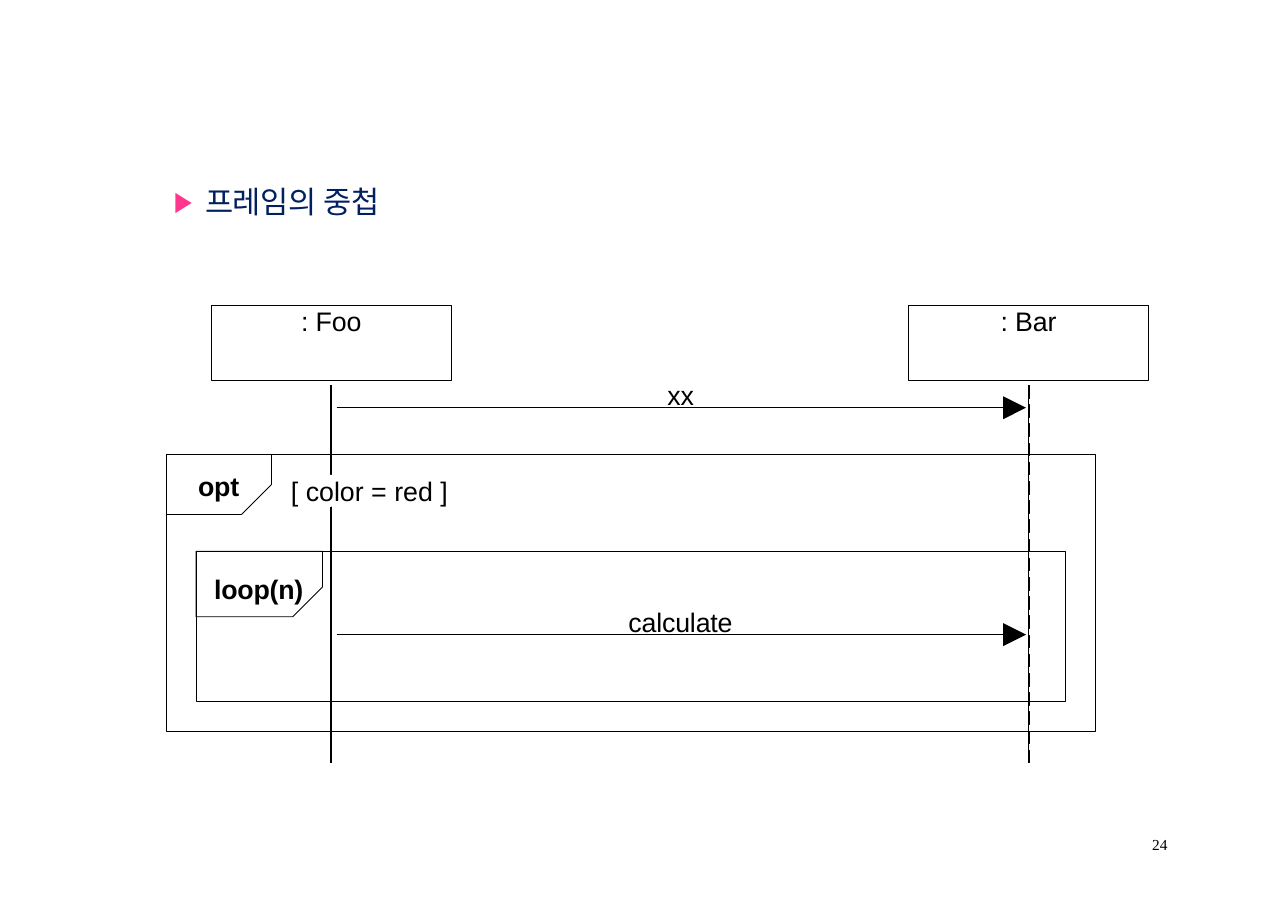
from dataclasses import dataclass

from lxml.etree import SubElement
from pptx import Presentation
from pptx.dml.color import RGBColor as Rgb
from pptx.enum.shapes import MSO_CONNECTOR as Link, MSO_SHAPE as Kind
from pptx.enum.text import MSO_ANCHOR as Anchor, PP_ALIGN as Align
from pptx.oxml.ns import qn
from pptx.util import Cm, Pt


@dataclass(frozen=True)
class Theme:
    """Colours, fonts, type sizes and line widths."""
    ink: str = "000000"
    paper: str = "FFFFFF"
    navy: str = "002060"
    pink: str = "FF388D"
    sans: str = "Arial"
    hangul: str = "Noto Sans CJK KR"
    serif: str = "Times New Roman"
    head: float = 20
    body: float = 17.5
    small: float = 10
    thin: float = 0.5
    hair: float = 0.25


@dataclass(frozen=True)
class Life:
    """A participant: name, centre, line width and spans of its line."""
    name: str
    x: float
    width: float
    spans: list[tuple[float, float]]


@dataclass(frozen=True)
class Call:
    """A message: text, height of its arrow, left edge and width of its text."""
    name: str
    y: float
    left: float
    width: float


@dataclass(frozen=True)
class Frame:
    """A fragment: box, size of its tab, and box of its label."""
    name: str
    box: tuple[float, float, float, float]
    tab: tuple[float, float]
    label: tuple[float, float, float, float]


THEME = Theme()
HEAD_W, HEAD_H, HEAD_TOP = 5.54, 1.74, 7.03
LIFE_TOP, LIFE_END = 8.88, 17.58
GUARD_TOP, GUARD_END = 10.95, 11.68
DASHES, DASH_W, DASH_H = 20, 0.02, 0.29
TIP, GAP, CUT = 0.53, 0.12, 0.69
LIVES = [
    Life(": Foo", 7.64, 1.25, [(LIFE_TOP, GUARD_TOP), (GUARD_END, LIFE_END)]),
    Life(": Bar", 23.72, 1, [(LIFE_TOP, LIFE_END)]),
]
CALLS = [Call("xx", 9.4, 15.39, 0.8), Call("calculate", 14.63, 14.49, 2.6)]
FRAMES = [
    Frame("opt", (3.84, 10.48, 21.42, 6.38), (2.42, 1.38), (4.57, 10.84, 1.2, 0.7)),
    Frame("loop(n)", (4.52, 12.71, 20.06, 3.46), (2.92, 1.51), (4.94, 13.2, 2.3, 0.7)),
]

deck = Presentation()
deck.slide_width, deck.slide_height = Cm(29.7), Cm(21)
slide = deck.slides.add_slide(deck.slide_layouts[6])
shapes = slide.shapes


def paint(shape, fill: str = "", line: str = "", width: float = THEME.thin) -> None:
    """Set fill and outline; an empty colour means none."""
    shape.shadow.inherit = False
    if fill:
        shape.fill.solid()
        shape.fill.fore_color.rgb = Rgb.from_string(fill)
    else:
        shape.fill.background()
    if line:
        shape.line.color.rgb = Rgb.from_string(line)
        shape.line.width = Pt(width)
    else:
        shape.line.fill.background()


def write(shape, text: str, *, size: float = THEME.body, font: str = THEME.sans,
          color: str = THEME.ink, bold: bool = False, align=Align.LEFT,
          track: int = -12):
    """Put one paragraph in a shape and return the paragraph."""
    frame = shape.text_frame
    frame.word_wrap, frame.vertical_anchor = True, Anchor.TOP
    frame.margin_left = frame.margin_top = frame.margin_right = frame.margin_bottom = 0
    para = frame.paragraphs[0]
    para.alignment = align
    run = para.add_run()
    run.text = text
    run.font.size, run.font.name, run.font.bold = Pt(size), font, bold
    run.font.color.rgb = Rgb.from_string(color)
    props = run.font._element
    props.set("spc", str(track))
    SubElement(props, qn("a:ea"), typeface=font)
    return para


def box(x: float, y: float, w: float, h: float):
    """Add a text box."""
    return shapes.add_textbox(Cm(x), Cm(y), Cm(w), Cm(h))


def rect(x: float, y: float, w: float, h: float, width: float = THEME.thin):
    """Add an outlined box without fill."""
    shape = shapes.add_shape(Kind.RECTANGLE, Cm(x), Cm(y), Cm(w), Cm(h))
    paint(shape, line=THEME.ink, width=width)
    return shape


def rule(x: float, y: float, end_x: float, end_y: float, width: float) -> None:
    """Draw a straight line."""
    line = shapes.add_connector(Link.STRAIGHT, Cm(x), Cm(y), Cm(end_x), Cm(end_y))
    line.line.color.rgb = Rgb.from_string(THEME.ink)
    line.line.width = Pt(width)
    SubElement(line._element.spPr, qn("a:effectLst"))


def shape_of(points: list[tuple[float, float]]):
    """Build a closed outline through the points."""
    first, *rest = [(Cm(x), Cm(y)) for x, y in points]
    maker = shapes.build_freeform(*first)
    maker.add_line_segments(rest, close=True)
    return maker.convert_to_shape()


def bullet(para) -> None:
    """Give a paragraph the pink triangle bullet."""
    props = para._p.get_or_add_pPr()
    props.set("marL", str(Cm(0.74)))
    props.set("indent", str(-Cm(0.72)))
    SubElement(SubElement(props, qn("a:buClr")), qn("a:srgbClr"), val=THEME.pink)
    SubElement(props, qn("a:buSzPct"), val="92000")
    SubElement(props, qn("a:buFont"), typeface=THEME.sans)
    SubElement(props, qn("a:buChar"), char="▶")


def draw_life(life: Life) -> None:
    """Draw a participant's head, lifeline and the dashes along it."""
    head = rect(life.x - HEAD_W / 2, HEAD_TOP, HEAD_W, HEAD_H)
    write(head, life.name, align=Align.CENTER)
    for top, end in life.spans:
        rule(life.x, top, life.x, end, life.width)
    step = (LIFE_END - LIFE_TOP - DASH_H) / (DASHES - 1)
    for i in range(DASHES):
        rect(life.x - DASH_W / 2, LIFE_TOP + i * step, DASH_W, DASH_H, THEME.hair)


def draw_call(call: Call) -> None:
    """Draw an arrow between the lifelines and its text."""
    start, end = LIVES[0].x + GAP, LIVES[1].x - 0.06
    rule(start, call.y, end - TIP, call.y, THEME.thin)
    tip = shape_of([(end, call.y), (end - TIP, call.y - TIP / 2),
                    (end - TIP, call.y + TIP / 2)])
    paint(tip, fill=THEME.ink)
    write(box(call.left, call.y - 0.67, call.width, 0.7), call.name)


def draw_frame(frame: Frame) -> None:
    """Draw a fragment with its cut-corner tab and label."""
    rect(*frame.box)
    x, y = frame.box[:2]
    right, base = x + frame.tab[0], y + frame.tab[1]
    tab = shape_of([(x, base), (right - CUT, base), (right, base - CUT),
                    (right, y), (x, y)])
    paint(tab, line=THEME.ink)
    write(box(*frame.label), frame.name, bold=True, track=-18)


title = write(box(3.99, 4.22, 6, 0.9), "프레임의 중첩", size=THEME.head,
              font=THEME.hangul, color=THEME.navy, track=-20)
bullet(title)

for life in LIVES:
    draw_life(life)

guard = box(6.71, GUARD_TOP, 3.7, GUARD_END - GUARD_TOP)
paint(guard, fill=THEME.paper)
write(guard, "[ color = red ]", track=0)

for frame in FRAMES:
    draw_frame(frame)
for call in CALLS:
    draw_call(call)

write(box(26.57, 19.25, 0.6, 0.43), "24", size=THEME.small, font=THEME.serif, track=0)

deck.save("out.pptx")
